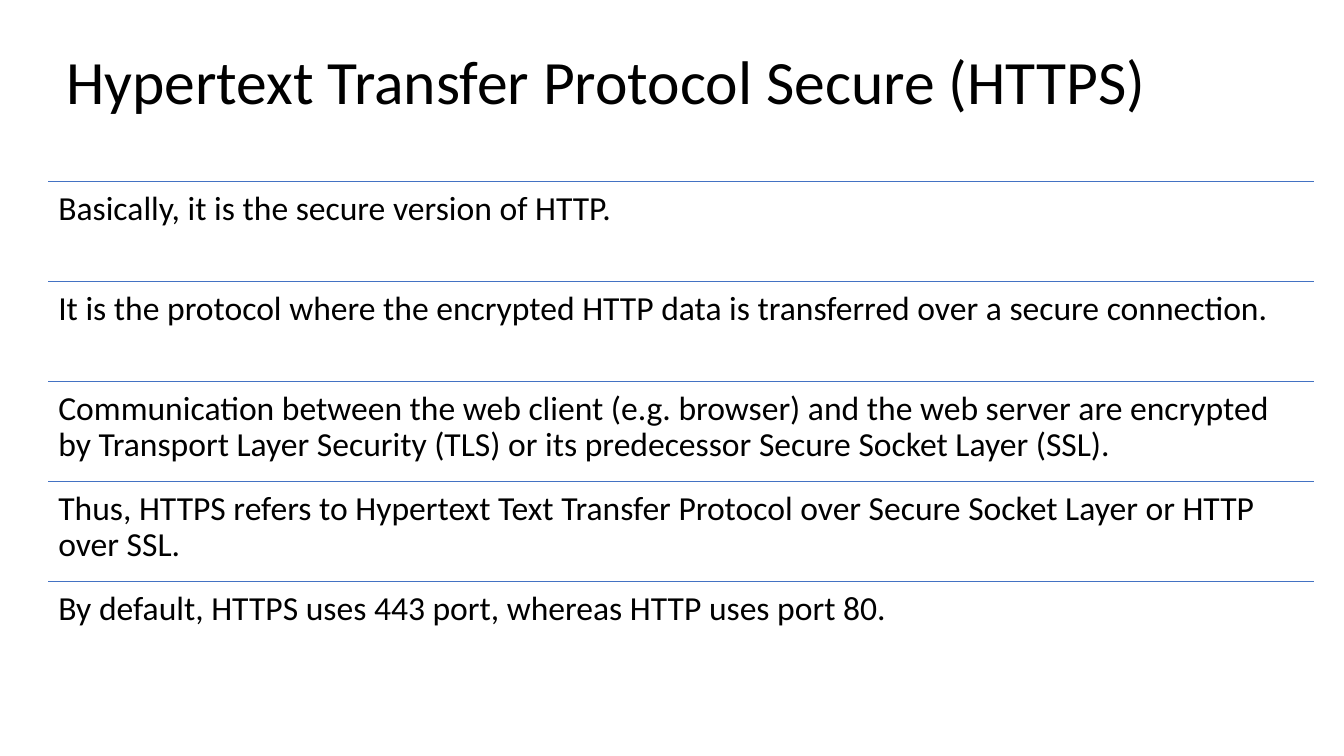
"""Build the slide that introduces HTTPS in five ruled rows."""
from dataclasses import dataclass

from lxml.etree import SubElement
from pptx import Presentation
from pptx.dml.color import RGBColor
from pptx.enum.shapes import MSO_CONNECTOR as Conn
from pptx.enum.text import MSO_ANCHOR as Anchor, MSO_AUTO_SIZE as AutoSize, PP_ALIGN as Align
from pptx.oxml.ns import qn
from pptx.slide import Slide
from pptx.text.text import TextFrame
from pptx.util import Cm, Pt

COLORS = {"text": "000000", "rule": "4372C3"}
FONT = "Calibri"
LEFT, TOP, WIDTH, PITCH = 1.22, 4.57, 31.9, 2.52
FACTS = [
    "Basically, it is the secure version of HTTP.",
    "It is the protocol where the encrypted HTTP data is transferred over a secure connection.",
    "Communication between the web client (e.g. browser) and the web server are encrypted "
    "by Transport Layer Security (TLS) or its predecessor Secure Socket Layer (SSL).",
    "Thus, HTTPS refers to Hypertext Text Transfer Protocol over Secure Socket Layer "
    "or HTTP over SSL.",
    "By default, HTTPS uses 443 port, whereas HTTP uses port 80.",
]


@dataclass
class Row:
    """A statement and the height of the rule above it, in centimetres."""
    text: str
    top: float


def set_text(tf: TextFrame, text: str, size: int, inset: float, anchor: Anchor) -> None:
    """Fill a text frame with one left-aligned paragraph."""
    tf.text = text
    tf.word_wrap = True
    tf.auto_size = AutoSize.NONE
    tf.vertical_anchor = anchor
    tf.margin_left = tf.margin_right = Cm(0.25)
    tf.margin_top = tf.margin_bottom = Cm(inset)
    p = tf.paragraphs[0]
    p.alignment = Align.LEFT
    p.line_spacing = 0.9
    r = p.runs[0]
    r.font.name = FONT
    r.font.size = Pt(size)
    r.font.color.rgb = RGBColor.from_string(COLORS["text"])


def add_title(s: Slide, text: str) -> None:
    """Place and format the title placeholder."""
    sp = s.shapes.title
    sp.left, sp.top, sp.width, sp.height = Cm(1.42), Cm(0.69), Cm(30.1), Cm(2.9)
    set_text(sp.text_frame, text, 44, 0.13, Anchor.MIDDLE)


def add_rule(s: Slide, top: float) -> None:
    """Draw a horizontal rule that takes nothing from the theme style."""
    y = Cm(top)
    rule = s.shapes.add_connector(Conn.STRAIGHT, Cm(LEFT), y, Cm(LEFT + WIDTH), y)
    rule.line.width = Pt(1)
    rule.line.fill.solid()
    rule.line.fill.fore_color.rgb = RGBColor.from_string(COLORS["rule"])
    SubElement(rule._element.spPr, qn("a:effectLst"))
    rule._element.remove(rule._element.find(qn("p:style")))


def add_row(s: Slide, row: Row) -> None:
    """Draw a rule with its statement below."""
    add_rule(s, row.top)
    sp = s.shapes.add_textbox(Cm(LEFT), Cm(row.top), Cm(WIDTH), Cm(PITCH))
    set_text(sp.text_frame, row.text, 24, 0.25, Anchor.TOP)


def main() -> None:
    """Create and save the presentation."""
    prs = Presentation()
    prs.slide_width, prs.slide_height = Cm(33.87), Cm(19.05)
    s = prs.slides.add_slide(prs.slide_layouts.get_by_name("Title Only"))
    add_title(s, "Hypertext Transfer Protocol Secure (HTTPS)")
    for i, fact in enumerate(FACTS):
        add_row(s, Row(fact, TOP + i * PITCH))
    prs.save("out.pptx")


if __name__ == "__main__":
    main()
